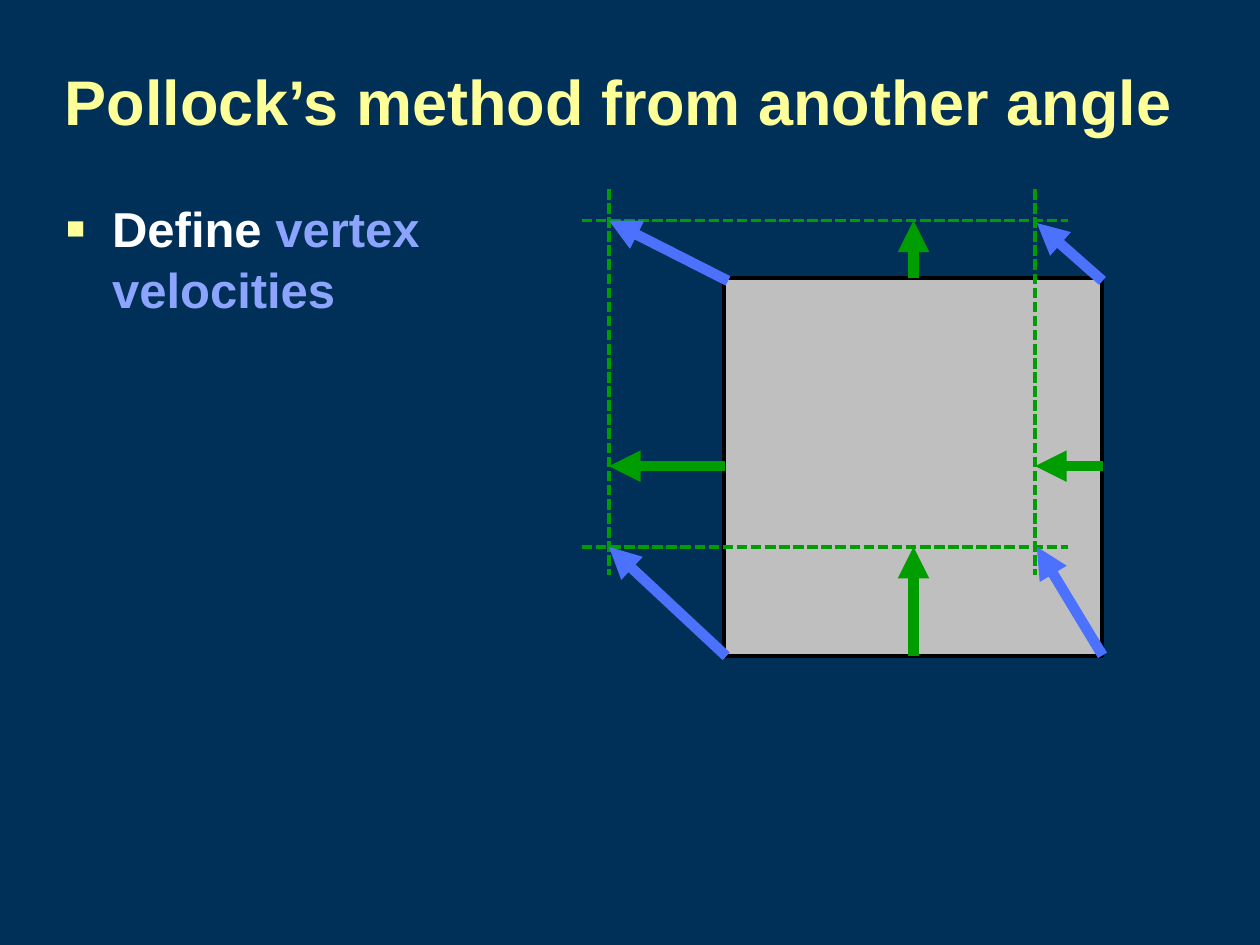
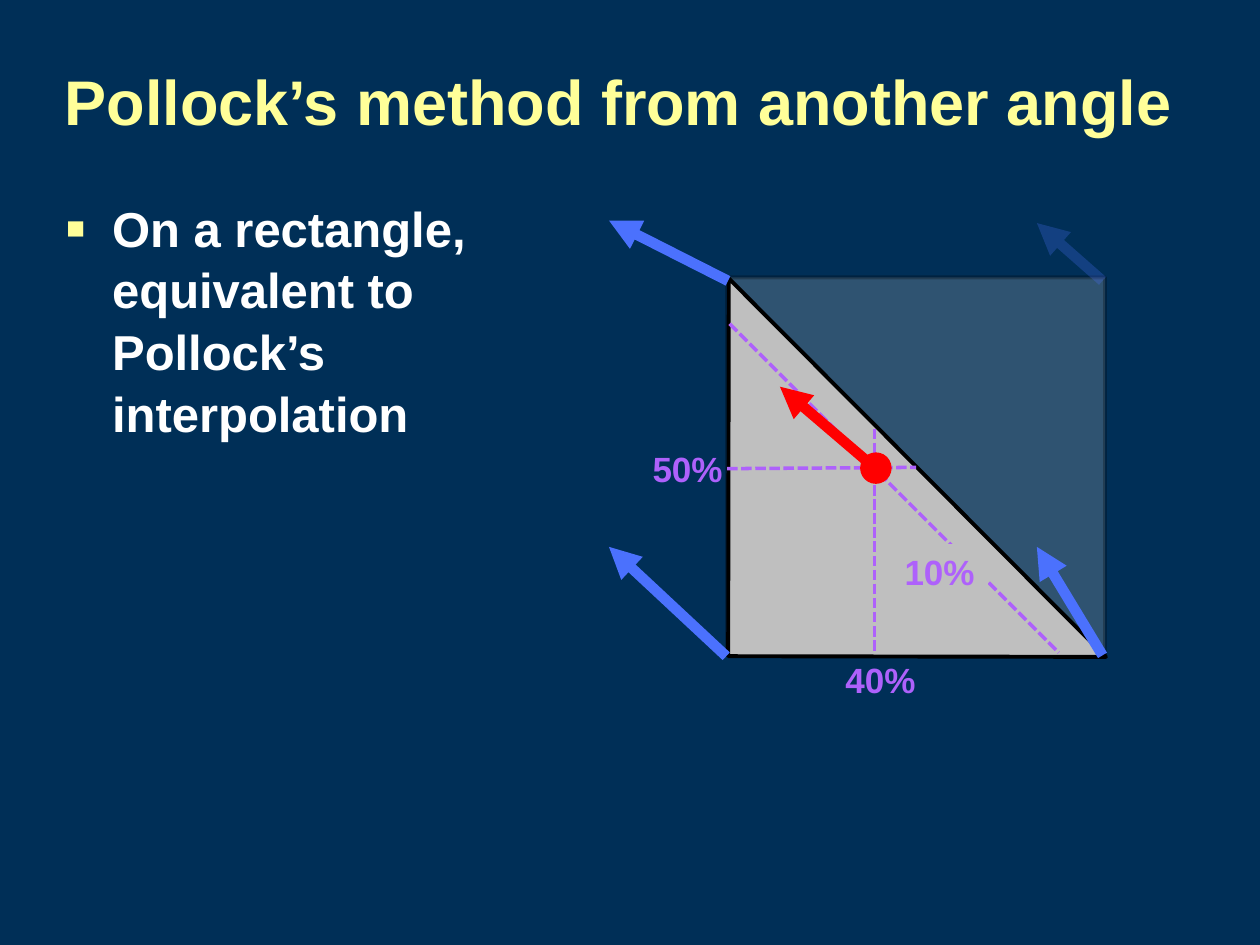
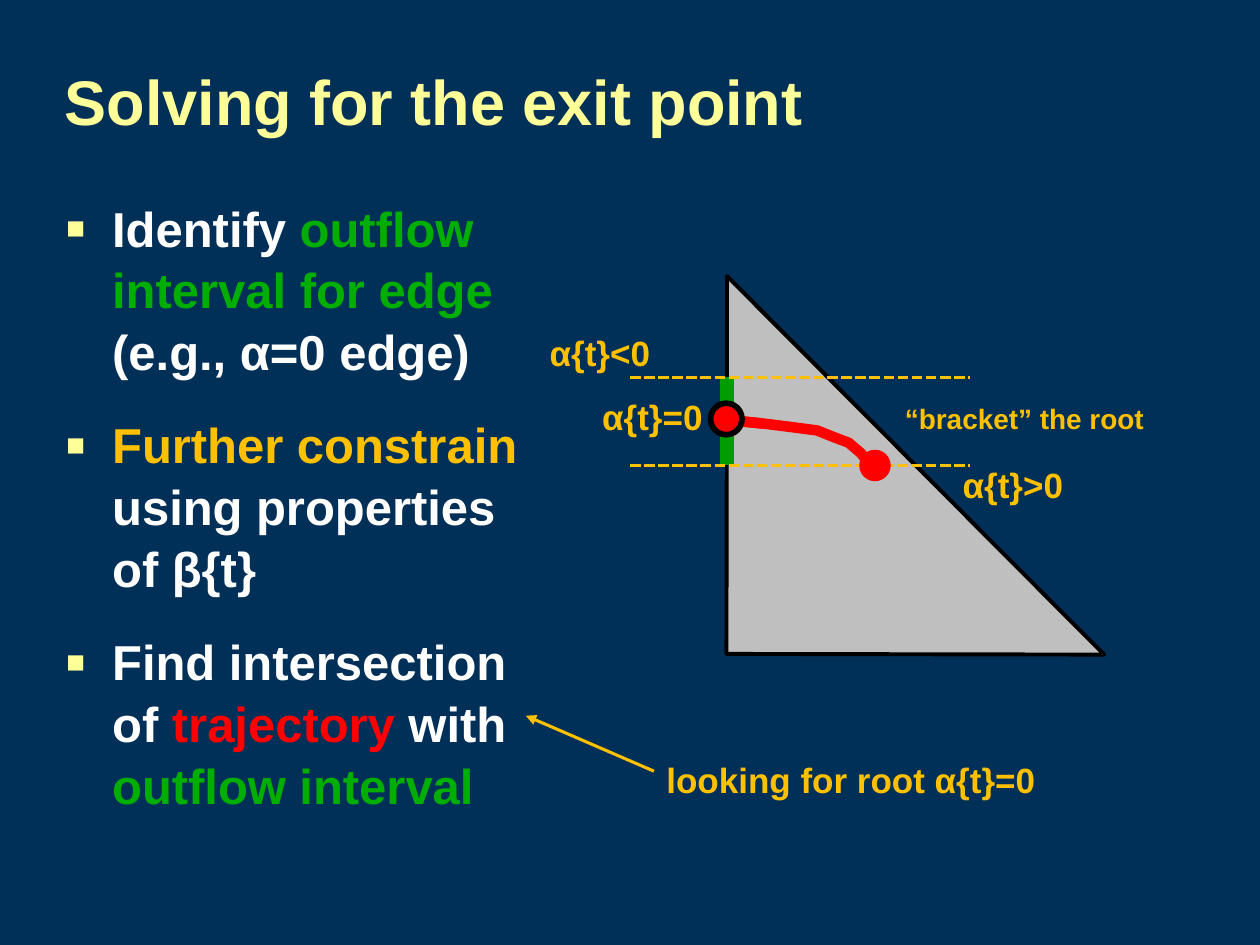
from lxml import etree
from pptx import Presentation
from pptx.dml.color import RGBColor
from pptx.enum.dml import MSO_LINE
from pptx.enum.shapes import MSO_CONNECTOR, MSO_SHAPE
from pptx.enum.text import MSO_ANCHOR
from pptx.oxml.ns import qn
from pptx.util import Pt

STRAIGHT = MSO_CONNECTOR.STRAIGHT
RECTANGLE = MSO_SHAPE.RECTANGLE
TRIANGLE = MSO_SHAPE.ISOSCELES_TRIANGLE
OVAL = MSO_SHAPE.OVAL
SHORT_DASH = MSO_LINE.SQUARE_DOT
MIDDLE = MSO_ANCHOR.MIDDLE

# Colours
NAVY, CREAM, WHITE, BLACK, GREY = "002F57", "FFFF99", "FFFFFF", "000000", "BFBFBF"
GREEN, TEXT_GREEN, BLUE, PALE_BLUE = "009D00", "00AE00", "4B71FD", "8CA4FD"
PURPLE, AMBER, RED = "AE61FB", "FFC000", "FF0000"

# Shared geometry of the cell, in points
LEFT, TOP, SIDE = 414, 159, 216
RIGHT, BOTTOM = LEFT + SIDE, TOP + SIDE
TIP_LEFT, TIP_RIGHT, TIP_TOP, TIP_BOTTOM = 348, 591.5, 126, 312.5
MIDDLE_X, MIDDLE_Y = 522, 266.4
FADED = 25

# Vertex velocities as (start, end)
BOTTOM_LEFT = ((415, BOTTOM), (TIP_LEFT, TIP_BOTTOM))
BOTTOM_RIGHT = ((RIGHT, 374.5), (592.5, TIP_BOTTOM))
TOP_RIGHT = ((RIGHT, 160.5), (592.5, 127.5))
TOP_LEFT = ((416, 160.5), (TIP_LEFT, TIP_TOP))


def color(hex_string):
    return RGBColor.from_string(hex_string)


class Deck:
    """Holds the style and the current slide."""

    font = "Arial"

    def __init__(self):
        self.presentation = Presentation()
        self.presentation.slide_width = Pt(720)
        self.presentation.slide_height = Pt(540)
        self.slide = None

    def new_slide(self, title):
        self.slide = self.presentation.slides.add_slide(self.presentation.slide_layouts[6])
        fill = self.slide.background.fill
        fill.solid()
        fill.fore_color.rgb = color(NAVY)
        text_frame = self.text(title, 30, 12.25, 654, 90, 36, CREAM, wrap=True)
        text_frame.vertical_anchor = MIDDLE

    def style_font(self, font, size, hex_string):
        font.name, font.size, font.bold = self.font, Pt(size), True
        font.color.rgb = color(hex_string)

    def text(self, text, left, top, width, height, size, hex_string, wrap=False, fill=None):
        box = self.slide.shapes.add_textbox(Pt(left), Pt(top), Pt(width), Pt(height))
        if fill:
            box.fill.solid()
            box.fill.fore_color.rgb = color(fill)
        text_frame = box.text_frame
        text_frame.word_wrap = wrap
        text_frame.text = text
        for run in text_frame.paragraphs[0].runs:
            self.style_font(run.font, size, hex_string)
        return text_frame

    def label(self, text, left, top, width, hex_string, size=20, **options):
        self.text(text, left, top, width, size * 1.15 + 8.5, size, hex_string, **options)

    def bullets(self, items):
        """Each item is a list of (text, colour) runs."""
        box = self.slide.shapes.add_textbox(Pt(30), Pt(108), Pt(291.5), Pt(353.5))
        text_frame = box.text_frame
        text_frame.word_wrap = True
        for index, item in enumerate(items):
            paragraph = text_frame.add_paragraph() if index else text_frame.paragraphs[0]
            self.add_bullet(paragraph)
            paragraph.line_spacing = 1.05
            if index:
                paragraph.space_before = Pt(18)
            for text, hex_string in item:
                run = paragraph.add_run()
                run.text = text
                self.style_font(run.font, 28, hex_string)

    def add_bullet(self, paragraph):
        properties = paragraph._p.get_or_add_pPr()
        properties.set("marL", str(Pt(27)))
        properties.set("indent", str(-Pt(27)))
        bullet_color = etree.SubElement(properties, qn("a:buClr"))
        etree.SubElement(bullet_color, qn("a:srgbClr"), val=CREAM)
        etree.SubElement(properties, qn("a:buSzPct"), val="125000")
        etree.SubElement(properties, qn("a:buFont"), typeface=self.font)
        etree.SubElement(properties, qn("a:buChar"), char="▪")

    def set_opacity(self, element, percent):
        for rgb in element.iter(qn("a:srgbClr")):
            etree.SubElement(rgb, qn("a:alpha"), val=str(percent * 1000))

    def shape(self, kind, left, top, width, height, fill, outline=None, opacity=100):
        shape = self.slide.shapes.add_shape(kind, Pt(left), Pt(top), Pt(width), Pt(height))
        shape.shadow.inherit = False
        shape.fill.solid()
        shape.fill.fore_color.rgb = color(fill)
        if outline:
            shape.line.color.rgb = color(BLACK)
            shape.line.width = Pt(outline)
        else:
            shape.line.fill.background()
        if opacity < 100:
            self.set_opacity(shape._element.spPr, opacity)
        return shape

    def half_cell(self, left, top):
        triangle = self.shape(TRIANGLE, left, top, 305.3, 152.6, GREY, 2.25)
        triangle.adjustments[0] = 0.5
        triangle.rotation = 225.1

    def point(self, x, y, outline=None):
        self.shape(OVAL, x - 9, y - 9, 18, 18, RED, outline)

    def line(self, start, end, hex_string, width, dash=None, arrow=False, opacity=100):
        connector = self.slide.shapes.add_connector(STRAIGHT, *map(Pt, start + end))
        connector.line.color.rgb = color(hex_string)
        connector.line.width = Pt(width)
        if dash:
            connector.line.dash_style = dash
        properties = connector._element.spPr
        if arrow:
            etree.SubElement(properties.find(qn("a:ln")), qn("a:tailEnd"), type="triangle")
        if opacity < 100:
            self.set_opacity(properties, opacity)
        etree.SubElement(properties, qn("a:effectLst"))

    def dashed(self, start, end, hex_string):
        self.line(start, end, hex_string, 2, dash=SHORT_DASH)

    def arrow(self, start, end, hex_string, width=6, opacity=100):
        self.line(start, end, hex_string, width, arrow=True, opacity=opacity)

    def curve(self, points, hex_string, width):
        builder = self.slide.shapes.build_freeform(*points[0], scale=Pt(1))
        builder.add_line_segments(points[1:], close=False)
        shape = builder.convert_to_shape()
        shape.shadow.inherit = False
        shape.fill.background()
        shape.line.color.rgb = color(hex_string)
        shape.line.width = Pt(width)


def vertex_velocities(deck):
    deck.new_slide("Pollock’s method from another angle")
    deck.bullets([[("Define ", WHITE), ("vertex velocities", PALE_BLUE)]])
    deck.shape(RECTANGLE, LEFT, TOP, SIDE, SIDE, GREY, 2.25)

    # Guides through the arrow tips
    for y in (TIP_TOP, TIP_BOTTOM):
        deck.dashed((332.5, y), (610.5, y), GREEN)
    for x in (TIP_RIGHT, TIP_LEFT):
        deck.dashed((x, 108), (x, 328.5), GREEN)

    # Vertex and edge velocities
    for start, end in (BOTTOM_LEFT, BOTTOM_RIGHT, TOP_RIGHT, TOP_LEFT):
        deck.arrow(start, end, BLUE)
    for start, end in ((RIGHT, TIP_RIGHT), (LEFT, TIP_LEFT)):
        deck.arrow((start, MIDDLE_Y), (end, MIDDLE_Y), GREEN)
    for start, end in ((BOTTOM, TIP_BOTTOM), (TOP, TIP_TOP)):
        deck.arrow((MIDDLE_X, start), (MIDDLE_X, end), GREEN)


def triangle_interpolation(deck):
    deck.new_slide("Pollock’s method from another angle")
    deck.bullets([[("On a rectangle, equivalent to Pollock’s interpolation", WHITE)]])

    # Cell with its faded upper half
    deck.shape(RECTANGLE, 415.5, 158.5, SIDE, SIDE, GREY, 2.25, FADED)
    deck.half_cell(317.5, 244.8)
    for start, end in (BOTTOM_LEFT, BOTTOM_RIGHT, TOP_LEFT):
        deck.arrow(start, end, BLUE)
    deck.arrow(*TOP_RIGHT, BLUE, opacity=FADED)

    # Interpolation weights
    deck.dashed((499.7, 245), (499.7, 373.7), PURPLE)
    deck.label("40%", 476, 372.5, 54.7, PURPLE)
    deck.dashed((415.5, 267.8), (523.5, 267.1), PURPLE)
    deck.label("50%", 365.8, 252, 54.7, PURPLE)
    deck.dashed((417, 185), (605, 373), PURPLE)
    deck.label("10%", 509.8, 311, 54.7, PURPLE, fill=GREY)

    # Interpolated velocity
    deck.arrow((500.4, 267.8), (445.7, 221), RED)
    deck.point(500.5, 267.5)


def exit_point(deck):
    deck.new_slide("Solving for the exit point")
    deck.half_cell(316.5, 243.5)

    # Particle trajectory
    deck.curve([(500.4, 269.3), (492.5, 259.2), (484.6, 252.7), (477.4, 249.8),
                (467.3, 246.2), (452.2, 244), (435.6, 242), (415, 239.8)], RED, 6)
    deck.bullets([
        [("Identify ", WHITE), ("outflow interval for edge ", TEXT_GREEN),
         ("(e.g., α=0 edge)", WHITE)],
        [("Further constrain", AMBER), (" using properties of β{t}", WHITE)],
        [("Find intersection of ", WHITE), ("trajectory", RED), (" with ", WHITE),
         ("outflow interval", TEXT_GREEN)],
    ])

    # Outflow interval and its bracket
    deck.line((415.4, 215.5), (415.4, 265.7), GREEN, 8)
    for y in (266, 215.7):
        deck.dashed((360, y), (554.4, y), AMBER)
    for text, left, top in (("α{t}=0", 337, 222.5), ("α{t}>0", 543, 261.5),
                            ("α{t}<0", 307, 185.8)):
        deck.label(text, left, top, 72.7, AMBER)
    deck.label("“bracket” the root", 510, 226, 152.6, AMBER, size=16, wrap=True)

    # Root note
    deck.arrow((373.7, 440.7), (300.5, 409), AMBER, width=1.75)
    deck.label("looking for root α{t}=0", 373.7, 430, 237, AMBER, wrap=True)

    # Start and exit points
    deck.point(500, 266)
    deck.line((415, 239.8), (435.6, 242), RED, 6)
    deck.point(415, 239.4, outline=3.25)


def main():
    deck = Deck()
    vertex_velocities(deck)
    triangle_interpolation(deck)
    exit_point(deck)
    deck.presentation.save("out.pptx")


if __name__ == "__main__":
    main()
